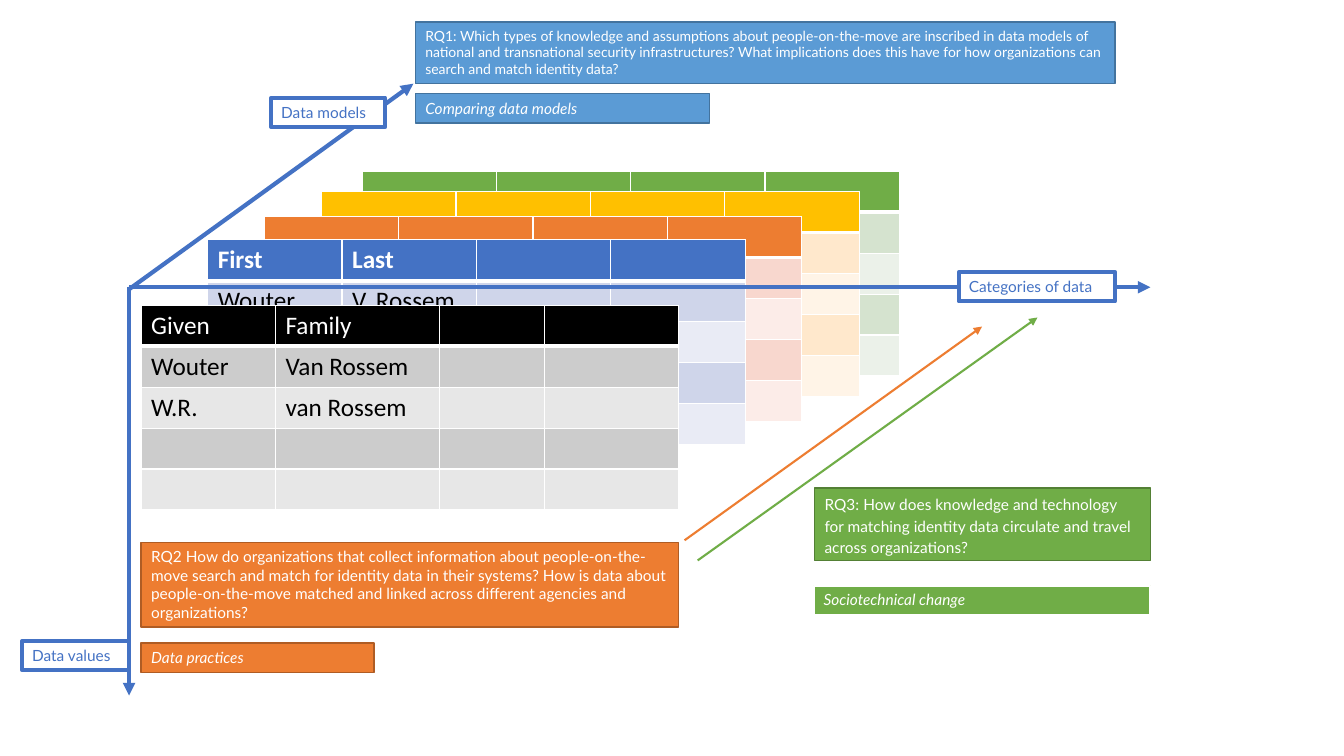
from dataclasses import dataclass
from typing import Any

from lxml import etree
from pptx import Presentation
from pptx.dml.color import RGBColor
from pptx.enum.shapes import MSO_CONNECTOR, MSO_SHAPE
from pptx.enum.text import MSO_ANCHOR, MSO_AUTO_SIZE, PP_ALIGN
from pptx.oxml.ns import qn
from pptx.util import Inches, Pt

RECT = MSO_SHAPE.RECTANGLE
LINE = MSO_CONNECTOR.STRAIGHT
TOP = MSO_ANCHOR.TOP
GROW = MSO_AUTO_SIZE.SHAPE_TO_FIT_TEXT
LEFT = PP_ALIGN.LEFT

COL = Inches(0.1)
ROW = Inches(0.1)

WHITE = RGBColor(0xFF, 0xFF, 0xFF)
BLACK = RGBColor(0x00, 0x00, 0x00)
BLUE = RGBColor(0x44, 0x72, 0xC4)
SKY = RGBColor(0x5B, 0x9B, 0xD5)
NAVY = RGBColor(0x43, 0x73, 0x9E)
ORANGE = RGBColor(0xED, 0x7D, 0x31)
RUST = RGBColor(0xAF, 0x5C, 0x24)
GREEN = RGBColor(0x70, 0xAD, 0x47)
MOSS = RGBColor(0x53, 0x80, 0x35)
GOLD = RGBColor(0xFF, 0xC0, 0x00)
GREENS = RGBColor(0xD5, 0xE3, 0xCF), RGBColor(0xEB, 0xF1, 0xE9)
GOLDS = RGBColor(0xFF, 0xE8, 0xCC), RGBColor(0xFF, 0xF4, 0xE7)
PINKS = RGBColor(0xF8, 0xD7, 0xCE), RGBColor(0xFC, 0xEC, 0xE8)
BLUES = RGBColor(0xCF, 0xD5, 0xEA), RGBColor(0xE9, 0xEB, 0xF5)
GREYS = RGBColor(0xCC, 0xCC, 0xCC), RGBColor(0xE7, 0xE7, 0xE7)

LINES = 5
HIGH = 4.06
EVEN = (13.33,) * 4


@dataclass
class Sheet:
    x: float
    y: float
    head: RGBColor
    bands: tuple[RGBColor, RGBColor]
    text: tuple[tuple[str, ...], ...] = ()
    bold: bool = False
    cols: tuple[float, ...] = EVEN


@dataclass
class Arrow:
    x1: float
    y1: float
    x2: float
    y2: float
    color: RGBColor
    width: float


@dataclass
class Box:
    x: float
    y: float
    w: float
    h: float
    fill: RGBColor
    edge: RGBColor
    width: float
    text: str
    size: int = 11
    ink: RGBColor = WHITE
    slant: bool = False
    lead: float = 1.0
    gap: int = 0


DOWN = Arrow(12.8, 28.5, 12.8, 69, BLUE, 3)
DEPTH = Arrow(12.8, 28.7, 41, 8.3, BLUE, 3)
ACROSS = Arrow(12.8, 28.5, 114.1, 28.5, BLUE, 3)
SEARCH = Arrow(67.9, 53.6, 97.4, 32.4, ORANGE, 1.5)
TRAVEL = Arrow(69.2, 55.6, 102.9, 31.5, GREEN, 1.5)

SHEETS = [
    Sheet(35.9, 17, GREEN, GREENS),
    Sheet(31.9, 19, GOLD, GOLDS),
    Sheet(26.2, 21.5, ORANGE, PINKS),
    Sheet(20.6, 23.8, BLUE, BLUES,
          (("First", "Last"), ("Wouter", "V. Rossem")), True),
    Sheet(14, 30.3, BLACK, GREYS,
          (("Given", "Family"), ("Wouter", "Van Rossem"),
           ("W.R.", "van Rossem")), cols=(13.33, 16.3, 10.36, 13.33)),
]

BOXES = [
    Box(80.7, 58.1, 33.4, 2.9, GREEN, WHITE, 1.5,
        "Sociotechnical change", slant=True),
    Box(14, 63.8, 23.1, 2.9, ORANGE, RUST, 1, "Data practices", slant=True),
    Box(41.2, 9.3, 29.2, 2.9, SKY, NAVY, 1,
        "Comparing data models", slant=True),
    Box(41.2, 2.2, 69.4, 6.1, SKY, NAVY, 1,
        "RQ1: Which types of knowledge and assumptions about "
        "people-on-the-move are inscribed in data models of national and "
        "transnational security infrastructures? What implications does this "
        "have for how organizations can search and match identity data?", 10),
    Box(80.8, 48.4, 33.3, 7.2, GREEN, MOSS, 1,
        "RQ3: How does knowledge and technology for matching identity data "
        "circulate and travel across organizations?", lead=1.15, gap=10),
    Box(26.9, 9.7, 11.3, 2.9, WHITE, BLUE, 3, "Data models", ink=BLUE),
    Box(2.2, 63.6, 10.6, 2.9, WHITE, BLUE, 3, "Data values", ink=BLUE),
    Box(95.1, 27, 15.5, 2.9, WHITE, BLUE, 3, "Categories of data", ink=BLUE),
    Box(14, 53.8, 53.3, 8.4, ORANGE, RUST, 1,
        "RQ2 How do organizations that collect information about "
        "people-on-the-move search and match for identity data in their "
        "systems? How is data about people-on-the-move matched and linked "
        "across different agencies and organizations?"),
]


def apply(item: Any, form: dict[str, Any]) -> None:
    for name, value in form.items():
        setattr(item, name, value)


def paint(fill: Any, color: RGBColor) -> None:
    fill.solid()
    fill.fore_color.rgb = color


def rule(cell: Any, first: bool) -> None:
    props = cell._tc.get_or_add_tcPr()
    for side in "LRTB":
        width = Pt(3 if first and side == "B" else 1)
        edge = etree.SubElement(props, qn(f"a:ln{side}"), w=str(width))
        solid = etree.SubElement(edge, qn("a:solidFill"))
        etree.SubElement(solid, qn("a:srgbClr"), val=str(WHITE))


def draw_sheet(slide: Any, sheet: Sheet) -> None:
    grid = slide.shapes.add_table(
        LINES, len(sheet.cols), int(sheet.x * COL), int(sheet.y * ROW),
        int(sum(sheet.cols) * COL), int(LINES * HIGH * ROW)).table
    apply(grid, {"first_row": False, "horz_banding": False})
    for col, width in zip(grid.columns, sheet.cols):
        col.width = int(width * COL)
    for r, row in enumerate(grid.rows):
        row.height = int(HIGH * ROW)
        words = sheet.text[r] if r < len(sheet.text) else ()
        for c, cell in enumerate(row.cells):
            rule(cell, r == 0)
            paint(cell.fill, sheet.bands[(r - 1) % 2] if r else sheet.head)
            if c < len(words):
                cell.text = words[c]
                font = cell.text_frame.paragraphs[0].runs[0].font
                apply(font, {"name": "Calibri", "size": Pt(18),
                             "bold": sheet.bold and r == 0})
                font.color.rgb = BLACK if r else WHITE


def draw_arrow(slide: Any, arrow: Arrow) -> None:
    link = slide.shapes.add_connector(
        LINE, int(arrow.x1 * COL), int(arrow.y1 * ROW),
        int(arrow.x2 * COL), int(arrow.y2 * ROW))
    link.line.color.rgb = arrow.color
    link.line.width = Pt(arrow.width)
    etree.SubElement(link.line._get_or_add_ln(), qn("a:tailEnd"),
                     type="triangle")
    etree.SubElement(link._element.spPr, qn("a:effectLst"))


def draw_box(slide: Any, box: Box) -> None:
    shape = slide.shapes.add_shape(
        RECT, int(box.x * COL), int(box.y * ROW),
        int(box.w * COL), int(box.h * ROW))
    shape.shadow.inherit = False
    paint(shape.fill, box.fill)
    shape.line.color.rgb = box.edge
    shape.line.width = Pt(box.width)
    frame = shape.text_frame
    apply(frame, {"word_wrap": True, "vertical_anchor": TOP,
                  "auto_size": GROW})
    para = frame.paragraphs[0]
    apply(para, {"alignment": LEFT, "line_spacing": box.lead,
                 "space_before": Pt(box.gap), "space_after": Pt(box.gap)})
    run = para.add_run()
    run.text = box.text
    apply(run.font, {"name": "Lato", "size": Pt(box.size),
                     "italic": box.slant})
    run.font.color.rgb = box.ink


def main() -> None:
    deck = Presentation()
    apply(deck, {"slide_width": Inches(13.33), "slide_height": Inches(7.5)})
    slide = deck.slides.add_slide(deck.slide_layouts[6])
    for arrow in (SEARCH, DOWN):
        draw_arrow(slide, arrow)
    for sheet in SHEETS:
        draw_sheet(slide, sheet)
    for arrow in (DEPTH, ACROSS, TRAVEL):
        draw_arrow(slide, arrow)
    for box in BOXES:
        draw_box(slide, box)
    deck.save("out.pptx")


if __name__ == "__main__":
    main()
